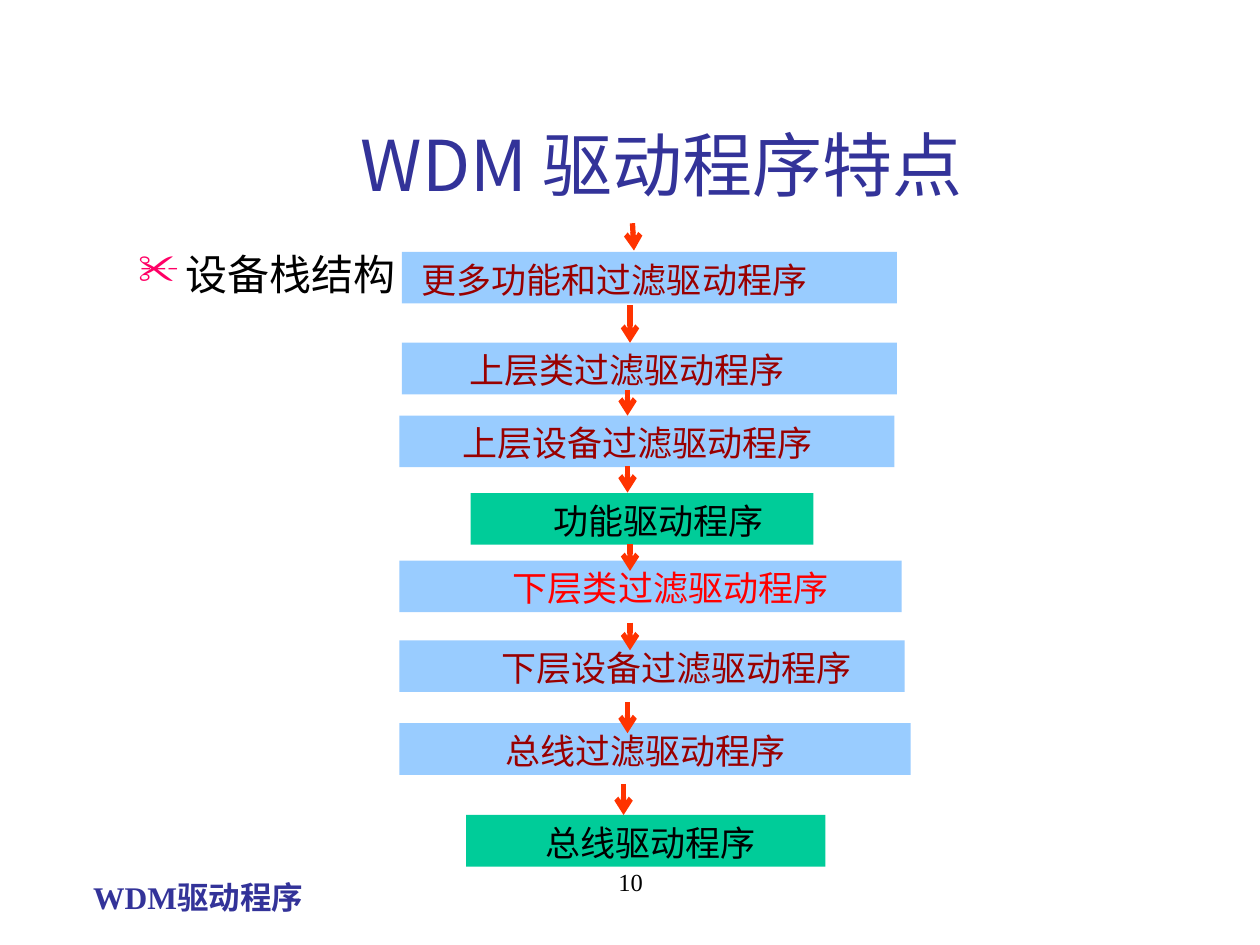
import dataclasses

import pptx
import pptx.dml.color
import pptx.enum.shapes
import pptx.enum.text
import pptx.oxml.ns
import pptx.util
from lxml import etree

Cm = pptx.util.Cm
Pt = pptx.util.Pt
qn = pptx.oxml.ns.qn
ALIGN = pptx.enum.text.PP_ALIGN
ANCHOR = pptx.enum.text.MSO_ANCHOR


@dataclasses.dataclass(frozen=True)
class Theme:
    """Colours, fonts and type sizes of the slide."""
    navy: str = "333399"
    black: str = "000000"
    pink: str = "FF0066"
    maroon: str = "990000"
    red: str = "FF0000"
    orange: str = "FF3300"
    blue: str = "99CCFF"
    green: str = "00CC99"
    serif: str = "Times New Roman"
    sans: str = "Noto Sans CJK SC"
    title_size: int = 40
    topic_size: int = 24
    layer_size: int = 20
    footer_size: int = 18
    number_size: int = 14


@dataclasses.dataclass(frozen=True)
class Layer:
    """A driver layer, placed in cm from the corner of the stack."""
    name: str
    left: float
    top: float
    width: float
    indent: float
    fill: str
    ink: str


@dataclasses.dataclass(frozen=True)
class Arrow:
    """A downward arrow, placed in cm from the corner of the stack."""
    x: float
    start: float
    end: float
    drift: float = 0


THEME = Theme()

LAYERS = [
    Layer("更多功能和过滤驱动程序", 0.05, 0, 9.98, 0.15, THEME.blue, THEME.maroon),
    Layer("上层类过滤驱动程序", 0.05, 1.83, 9.98, 1.11, THEME.blue, THEME.maroon),
    Layer("上层设备过滤驱动程序", 0, 3.3, 9.98, 1.02, THEME.blue, THEME.maroon),
    Layer("功能驱动程序", 1.44, 4.86, 6.91, 1.42, THEME.green, THEME.black),
    Layer("下层类过滤驱动程序", 0, 6.22, 10.13, 2.04, THEME.blue, THEME.red),
    Layer("下层设备过滤驱动程序", 0, 7.83, 10.19, 1.81, THEME.blue, THEME.maroon),
    Layer("总线过滤驱动程序", 0, 9.5, 10.31, 1.89, THEME.blue, THEME.maroon),
    Layer("总线驱动程序", 1.35, 11.35, 7.24, 1.34, THEME.green, THEME.black),
]

ARROWS = [
    Arrow(4.7, -0.58, -0.03, 0.03),
    Arrow(4.65, 1.07, 1.83),
    Arrow(4.6, 2.79, 3.3),
    Arrow(4.6, 4.32, 4.85),
    Arrow(4.65, 5.89, 6.43),
    Arrow(4.65, 7.47, 8.03),
    Arrow(4.6, 9.07, 9.7),
    Arrow(4.52, 10.72, 11.35),
]


def rgb(code):
    """Turn a hex code into a colour."""
    return pptx.dml.color.RGBColor.from_string(code)


def style(paragraph, size, color, latin, bold=False):
    """Set the font of a whole paragraph, with one face for Chinese text."""
    font = paragraph.font
    font.size = Pt(size)
    font.bold = bold
    font.name = latin
    font.color.rgb = rgb(color)
    defaults = paragraph._p.pPr.find(qn("a:defRPr"))
    etree.SubElement(defaults, qn("a:ea"), typeface=THEME.sans)


def add_text(slide, box, text, align=ALIGN.LEFT, anchor=ANCHOR.TOP):
    """Add a text box and return its only paragraph."""
    frame = slide.shapes.add_textbox(*map(Cm, box)).text_frame
    frame.word_wrap = True
    frame.vertical_anchor = anchor
    paragraph = frame.paragraphs[0]
    paragraph.text = text
    paragraph.alignment = align
    return paragraph


def add_title(slide, box):
    """Add the slide title."""
    title = add_text(slide, box, "WDM 驱动程序特点", ALIGN.CENTER, ANCHOR.MIDDLE)
    style(title, THEME.title_size, THEME.navy, THEME.sans)


def add_topic(slide, box):
    """Add the topic with its scissors bullet."""
    topic = add_text(slide, box, "设备栈结构")
    topic.space_before = Pt(6)
    properties = topic._p.get_or_add_pPr()
    properties.set("marL", str(Cm(0.95)))
    properties.set("indent", str(Cm(-0.95)))
    bullet_color = etree.SubElement(properties, qn("a:buClr"))
    etree.SubElement(bullet_color, qn("a:srgbClr"), val=THEME.pink)
    etree.SubElement(properties, qn("a:buChar"), char="✂")
    style(topic, THEME.topic_size, THEME.black, THEME.sans)


def add_layer(slide, left, top, layer, height=1.04):
    """Add one driver layer to the stack at the given corner."""
    box = (left + layer.left, top + layer.top, layer.width, height)
    bar = slide.shapes.add_shape(
        pptx.enum.shapes.MSO_SHAPE.RECTANGLE, *map(Cm, box))
    bar.shadow.inherit = False
    bar.fill.solid()
    bar.fill.fore_color.rgb = rgb(layer.fill)
    bar.line.fill.background()
    bar.text_frame.word_wrap = True
    bar.text_frame.vertical_anchor = ANCHOR.TOP
    name = bar.text_frame.paragraphs[0]
    name.text = layer.name
    name.alignment = ALIGN.LEFT
    name._p.get_or_add_pPr().set("marL", str(Cm(layer.indent)))
    style(name, THEME.layer_size, layer.ink, THEME.serif)


def add_arrow(slide, left, top, arrow):
    """Add one arrow to the stack at the given corner."""
    x = left + arrow.x
    ends = (x, top + arrow.start, x + arrow.drift, top + arrow.end)
    connector = slide.shapes.add_connector(
        pptx.enum.shapes.MSO_CONNECTOR.STRAIGHT, *map(Cm, ends))
    connector.line.width = Pt(3)
    connector.line.color.rgb = rgb(THEME.orange)
    etree.SubElement(connector.line._get_or_add_ln(), qn("a:tailEnd"), type="arrow")
    etree.SubElement(connector._element.spPr, qn("a:effectLst"))


def add_stack(slide, left, top):
    """Add the device stack with its arrows in front."""
    for layer in LAYERS:
        add_layer(slide, left, top, layer)
    for arrow in ARROWS:
        add_arrow(slide, left, top, arrow)


def add_footer(slide, label_box, number_box):
    """Add the footer label and the page number."""
    label = add_text(slide, label_box, "WDM驱动程序")
    style(label, THEME.footer_size, THEME.navy, THEME.serif, bold=True)
    number = add_text(slide, number_box, "10", ALIGN.CENTER)
    style(number, THEME.number_size, THEME.black, THEME.serif)


def main():
    """Build the slide and save it."""
    deck = pptx.Presentation()
    deck.slide_width, deck.slide_height = Cm(25.4), Cm(19.05)
    slide = deck.slides.add_slide(deck.slide_layouts[6])
    add_footer(slide, (1.63, 17.58, 5.4, 1.02), (8.69, 17.35, 8.05, 1.27))
    add_title(slide, (2.54, 1.7, 21.59, 3.18))
    add_topic(slide, (2.54, 4.88, 20.96, 12.07))
    add_stack(slide, 8.05, 5.08)
    deck.save("out.pptx")


if __name__ == "__main__":
    main()
